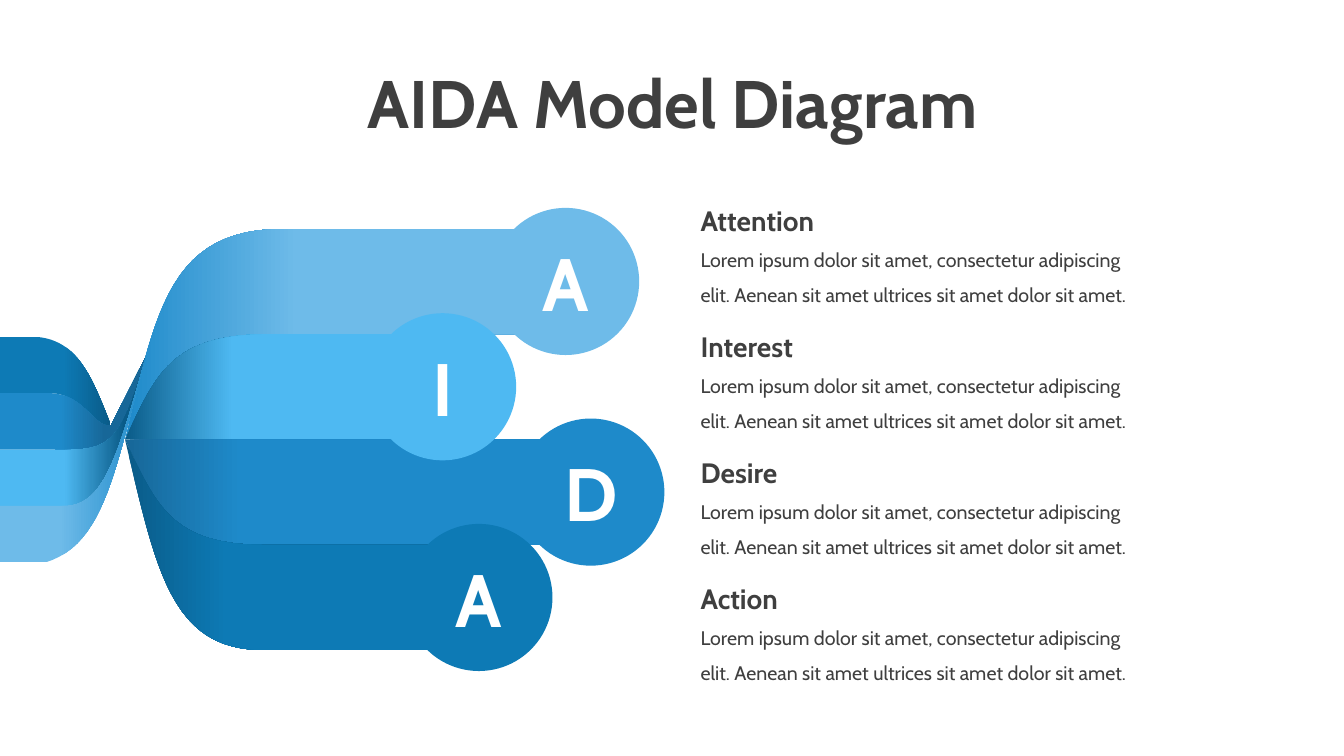
from collections import namedtuple

from pptx import Presentation
from pptx.dml.color import RGBColor
from pptx.enum.shapes import MSO_SHAPE as Preset
from pptx.enum.text import MSO_ANCHOR as Anchor, PP_ALIGN as Align
from pptx.util import Inches, Pt

FONT = "Cabin"
COLORS = {
    "text": "3F3F3F", "white": "FFFFFF",
    "attention": "6EBBE9", "interest": "4EB9F2", "desire": "1E8ACA", "action": "0D7AB5",
    "desire_shade": "176798", "deep_shade": "0A5B88",
}
BODY = ("Lorem ipsum dolor sit amet, consectetur adipiscing elit. "
        "Aenean sit amet ultrices sit amet dolor sit amet.")

Stage = namedtuple("Stage", "title knob_x shade shade_end tail_start tail_shade tail_end")
STAGES = [
    Stage("Attention", 5.61, "desire", 0.39, 0.41, "desire", 1),
    Stage("Interest", 4.39, "deep_shade", 0.34, 0.44, "deep_shade", 0.85),
    Stage("Desire", 5.86, "desire_shade", 0.25, 0.41, "desire_shade", 0.72),
    Stage("Action", 4.75, "deep_shade", 0.29, 0.57, "deep_shade", 1),
]

STAGE_LEFT, STAGE_TOP, STAGE_PITCH, BODY_DROP = 6.85, 1.97, 1.25, 0.32
BAND_TOP, BAND = 2.27, 1.045
KNOB_SIZE = 1.46
WAIST = (1.24, BAND_TOP + 2 * BAND)
BEND_XS = [2.82, 2.68, 2.62, 2.62, 2.62]
TAIL_TOP, TAIL_BAND = 3.34, 0.56
LIP, KNOT = (1.1, 4.22), (1.45, 3.53)
TAIL_CURVES = [
    (0.3, (0.75, 3.34), (0.9, 3.7), LIP),
    (0.48, (0.84, 3.9), (0.93, 4.25), LIP),
    (0.33, (1.05, 4.46), (1.15, 4.56), KNOT),
    (0.63, (1.02, 5.02), (1.15, 4.59), KNOT),
    (0.45, (1.05, 5.4), (1.15, 4.6), KNOT),
]
CURVE_STEPS = 24


def color(name):
    return RGBColor.from_string(COLORS[name])


def curve(*anchors):
    points = []
    for index in range(CURVE_STEPS + 1):
        t = index / CURVE_STEPS
        weights = [(1 - t) ** 3, 3 * t * (1 - t) ** 2, 3 * t * t * (1 - t), t ** 3]
        points.append(tuple(sum(w * a[axis] for w, a in zip(weights, anchors))
                            for axis in (0, 1)))
    return points


def band_edge(row, right):
    y = BAND_TOP + row * BAND
    rise_y = y + 0.37 * (WAIST[1] - y)
    return curve(WAIST, (1.55, rise_y), (1.7, y), (BEND_XS[row], y)) + [(right, y)]


def tail_edge(row):
    y = TAIL_TOP + row * TAIL_BAND
    start_x, *anchors = TAIL_CURVES[row]
    return [(0, y)] + curve((start_x, y), *anchors)


def add_ribbon(slide, upper, lower, *stops):
    start, *rest = [(Inches(x), Inches(y)) for x, y in upper + lower[::-1]]
    builder = slide.shapes.build_freeform(*start)
    builder.add_line_segments(rest, close=True)
    ribbon = builder.convert_to_shape()
    ribbon.shadow.inherit = False
    ribbon.line.fill.background()
    ribbon.fill.gradient()
    ribbon.fill.gradient_angle = 0
    for stop, (name, position) in zip(ribbon.fill.gradient_stops, stops):
        stop.color.rgb = color(name)
        stop.position = position


def add_band(slide, row, stage):
    add_ribbon(slide, band_edge(row, stage.knob_x), band_edge(row + 1, stage.knob_x),
               (stage.shade, 0), (stage.title.lower(), stage.shade_end))


def add_tail(slide, row, stage):
    add_ribbon(slide, tail_edge(row), tail_edge(row + 1),
               (stage.title.lower(), stage.tail_start), (stage.tail_shade, stage.tail_end))


def write(frame, words, size, name="text", bold=True, align=Align.LEFT, spacing=1.0):
    frame.word_wrap = True
    frame.text = words
    paragraph = frame.paragraphs[0]
    paragraph.alignment = align
    paragraph.line_spacing = spacing
    font = paragraph.runs[0].font
    font.name, font.size, font.bold = FONT, Pt(size), bold
    font.color.rgb = color(name)


def add_label(slide, left, top, width, height, words, size, **style):
    label = slide.shapes.add_textbox(*map(Inches, (left, top, width, height)))
    write(label.text_frame, words, size, **style)
    return label


def add_knob(slide, row, stage):
    left = stage.knob_x - KNOB_SIZE / 2
    top = BAND_TOP + (row + 0.5) * BAND - KNOB_SIZE / 2
    knob = slide.shapes.add_shape(
        Preset.OVAL, *map(Inches, (left, top, KNOB_SIZE, KNOB_SIZE)))
    knob.shadow.inherit = False
    knob.fill.solid()
    knob.fill.fore_color.rgb = color(stage.title.lower())
    knob.line.fill.background()
    frame = knob.text_frame
    frame.margin_left = frame.margin_right = frame.margin_top = frame.margin_bottom = 0
    frame.vertical_anchor = Anchor.MIDDLE
    write(frame, stage.title[0], 53, "white", align=Align.CENTER)


def add_description(slide, row, stage):
    top = STAGE_TOP + row * STAGE_PITCH
    add_label(slide, STAGE_LEFT, top + BODY_DROP, 4.6, 0.76, BODY, 14,
              bold=False, spacing=1.5)
    add_label(slide, STAGE_LEFT, top, 2.35, 0.44, stage.title, 20)


def main():
    deck = Presentation()
    deck.slide_width, deck.slide_height = Inches(13.33), Inches(7.5)
    slide = deck.slides.add_slide(deck.slide_layouts[6])
    for row, stage in enumerate(STAGES):
        add_band(slide, row, stage)
    for row, stage in enumerate(reversed(STAGES)):
        add_tail(slide, row, stage)
    for row in (0, 2, 3, 1):
        add_knob(slide, row, STAGES[row])
    title = add_label(slide, 0.92, 0.35, 11.5, 1.41, "AIDA Model Diagram", 48,
                      align=Align.CENTER, spacing=0.9)
    title.text_frame.vertical_anchor = Anchor.MIDDLE
    for row, stage in enumerate(STAGES):
        add_description(slide, row, stage)
    deck.save("out.pptx")


if __name__ == "__main__":
    main()
